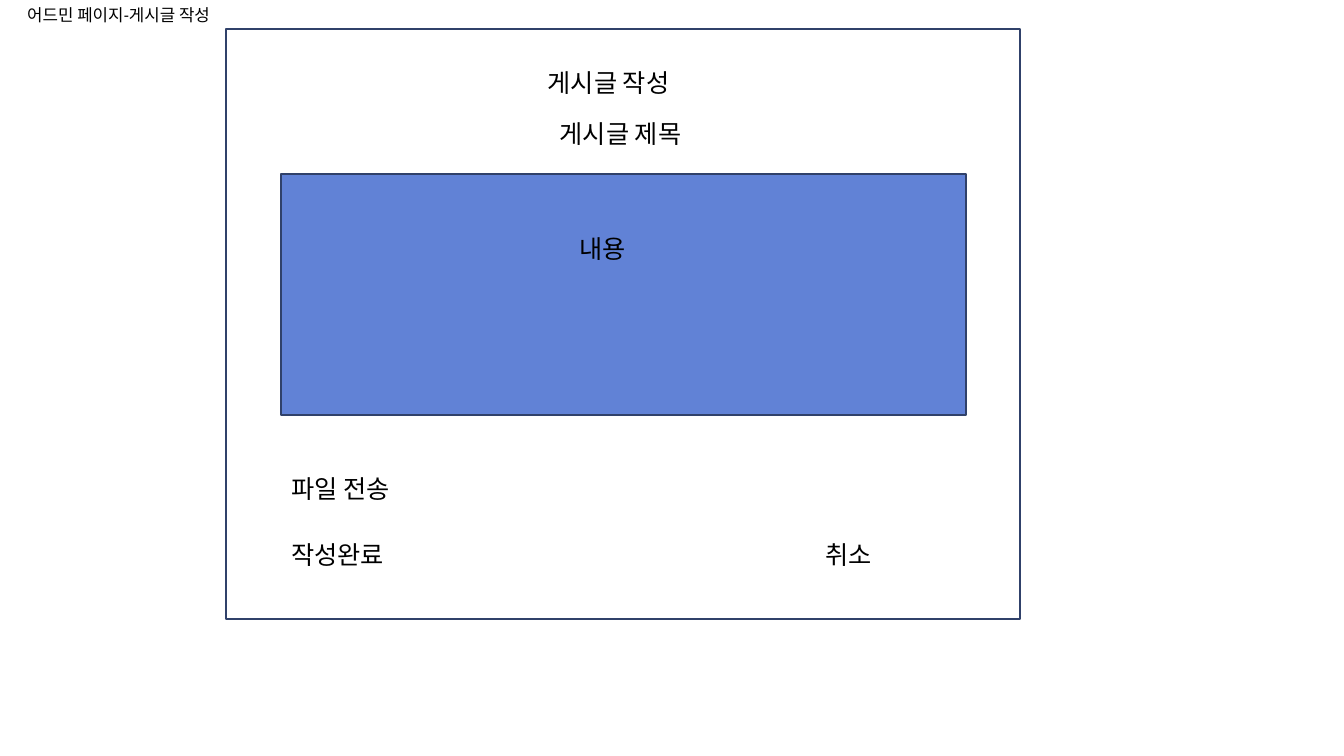
from dataclasses import dataclass

from pptx import Presentation
from pptx.dml.color import RGBColor
from pptx.enum.shapes import MSO_SHAPE as Shape
from pptx.enum.text import MSO_ANCHOR as Anchor, MSO_AUTO_SIZE as AutoSize, PP_ALIGN as Align
from pptx.util import Inches, Pt


@dataclass(frozen=True)
class Theme:
    font: str = "Calibri"
    text: RGBColor = RGBColor(0x00, 0x00, 0x00)
    paper: RGBColor = RGBColor(0xFF, 0xFF, 0xFF)
    field: RGBColor = RGBColor(0x61, 0x82, 0xD6)
    border: RGBColor = RGBColor(0x30, 0x41, 0x6A)
    border_width: float = 1.5
    title_size: int = 12
    label_size: int = 18


THEME = Theme()
LABEL_HEIGHT = 0.4


def write_text(box, text, size, align=Align.LEFT):
    frame = box.text_frame
    frame.text = text
    frame.word_wrap = True
    frame.auto_size = AutoSize.SHAPE_TO_FIT_TEXT
    frame.vertical_anchor = Anchor.TOP
    para = frame.paragraphs[0]
    para.alignment = align
    for span in para.runs:
        span.font.name = THEME.font
        span.font.size = Pt(size)
        span.font.color.rgb = THEME.text


def add_label(page, text, left, top, width, align=Align.LEFT):
    box = page.shapes.add_textbox(*map(Inches, (left, top, width, LABEL_HEIGHT)))
    write_text(box, text, THEME.label_size, align)


def add_panel(page, left, top, width, height, fill):
    panel = page.shapes.add_shape(Shape.RECTANGLE, *map(Inches, (left, top, width, height)))
    panel.shadow.inherit = False
    panel.fill.solid()
    panel.fill.fore_color.rgb = fill
    panel.line.color.rgb = THEME.border
    panel.line.width = Pt(THEME.border_width)


def place_title(page, left, top, width, height):
    title = page.shapes.title
    title.left, title.top, title.width, title.height = map(Inches, (left, top, width, height))
    write_text(title, "어드민 페이지-게시글 작성", THEME.title_size)


def add_headings(page, left, top, width):
    add_label(page, "게시글 작성", left, top, width, Align.CENTER)
    add_label(page, "게시글 제목", left + 0.12, top + 0.5, width, Align.CENTER)


def add_content_field(page, left, top, width, height):
    add_panel(page, left, top, width, height, THEME.field)
    add_label(page, "내용", left + 2.86, top + 0.54, 1.02)


def add_actions(page, left, top):
    button_top = top + 0.65
    add_label(page, "파일 전송", left, top, 1.88)
    add_label(page, "작성완료", left, button_top, 1.36)
    add_label(page, "취소", left + 5.3, button_top, 1.36)


def add_post_form(page, left, top, width, height):
    add_panel(page, left, top, width, height, THEME.paper)
    inner_left = left + 0.55
    add_headings(page, left + 0.38, top + 0.33, 6.83)
    add_content_field(page, inner_left, top + 1.44, 6.79, 2.39)
    add_actions(page, inner_left, top + 4.36)


def main():
    deck = Presentation()
    deck.slide_width, deck.slide_height = Inches(13.33), Inches(7.5)
    title_only = deck.slide_layouts[5]
    page = deck.slides.add_slide(title_only)

    # Page name in the top left corner
    place_title(page, 0.17, 0, 2.45, 0.29)

    # Post form with headings, content field and actions
    add_post_form(page, 2.24, 0.29, 7.88, 5.85)

    deck.save("out.pptx")


if __name__ == "__main__":
    main()
